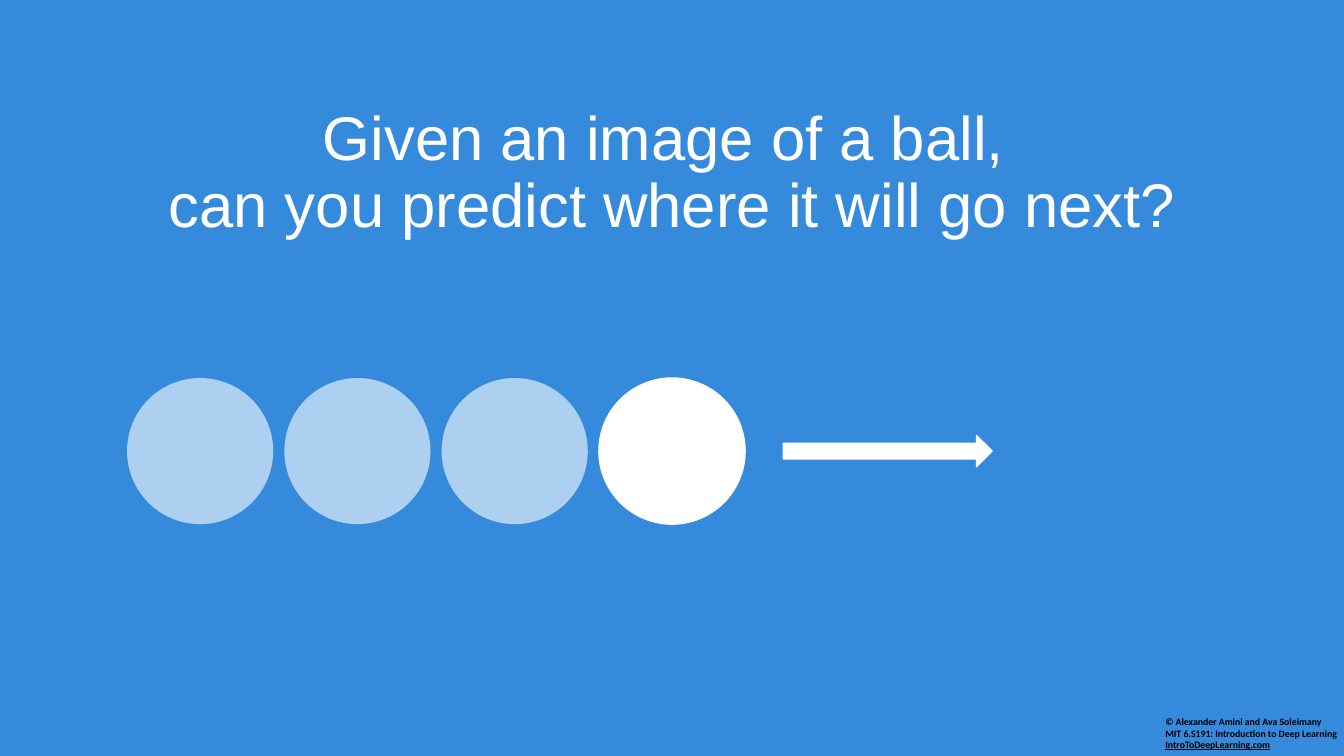
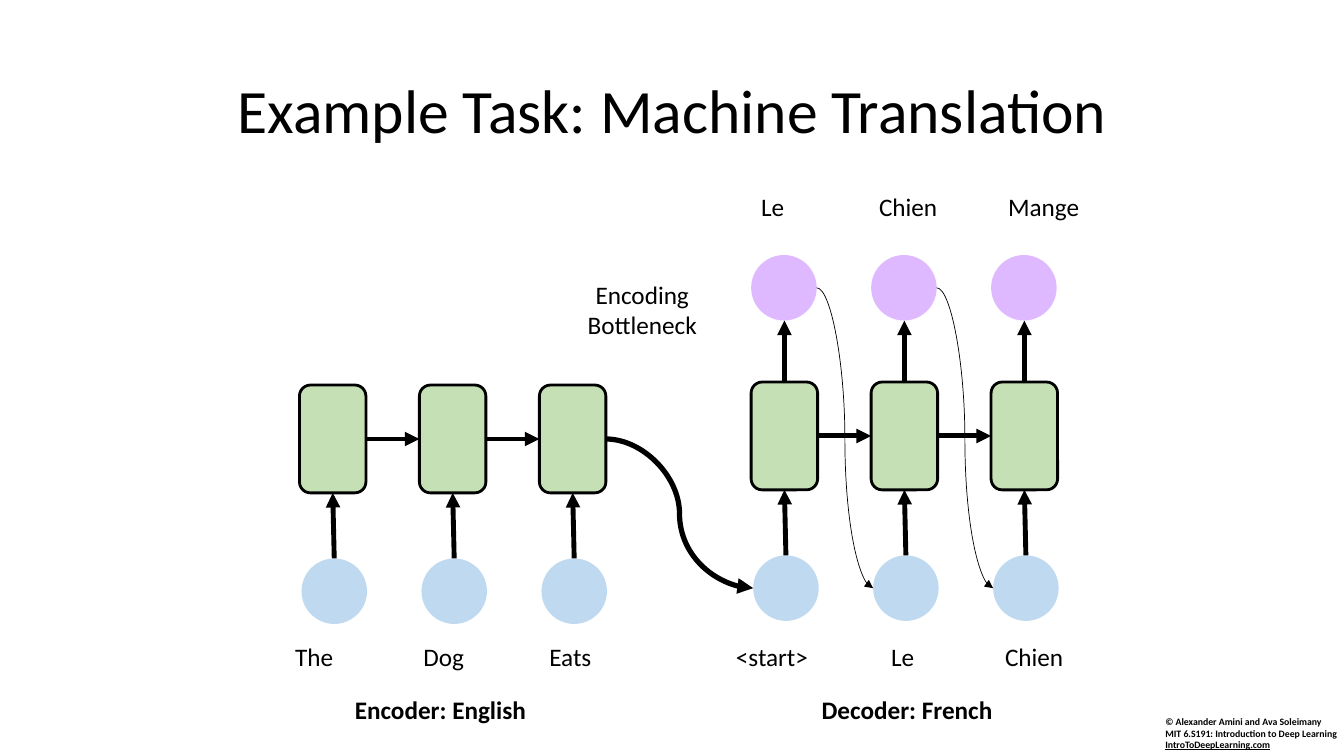
from dataclasses import dataclass
from typing import NamedTuple

from lxml import etree
from pptx import Presentation
from pptx.dml.color import RGBColor
from pptx.enum import shapes as es, text as et
from pptx.oxml import ns
from pptx.shapes.autoshape import Shape
from pptx.shapes.connector import Connector
from pptx.slide import Slide
from pptx.util import Inches, Pt


@dataclass(frozen=True)
class Theme:
    blue: str = "358ADB"
    white: str = "FFFFFF"
    black: str = "000000"
    green: str = "C5E0B4"
    violet: str = "DFB9FF"
    sky: str = "BFD9F0"
    font: str = "Calibri"
    sans: str = "Arial"
    title: float = 44
    body: float = 18
    small: float = 7


T = Theme()


class Box(NamedTuple):
    left: float
    top: float
    width: float
    height: float


class Label(NamedTuple):
    text: str
    left: float
    width: float


class Chain(NamedTuple):
    """One half of the network: its place, caption and words."""
    left: float
    top: float
    caption: Label
    inputs: list[Label]
    outputs: list[Label]


BALL, BALL_STEP = 1.45, 1.56
CELL_W, CELL_H, CELL_STEP = 0.66, 1.07, 1.19
DISC = 0.65
IN_DROP, OUT_RISE = 1.72, 1.26  # from the top of a cell to its discs
OUT_GAP = 0.61
WORD_TOP, OUT_TOP, CAP_TOP, ROW_H = 6.31, 1.85, 6.84, 0.4

CHAINS = [
    Chain(2.97, 3.82, Label("Encoder: English", 3.42, 2.52),
          [Label("The", 2.83, 0.6), Label("Dog", 4.1, 0.71),
           Label("Eats", 5.35, 0.79)], []),
    Chain(7.45, 3.79, Label("Decoder: French", 8.05, 2.05),
          [Label("<start>", 7.2, 1.18), Label("Le", 8.74, 0.6),
           Label("Chien", 9.87, 1.05)],
          [Label("Le", 7.45, 0.6), Label("Chien", 8.62, 0.86),
           Label("Mange", 9.9, 1)]),
]


def rgb(code: str) -> RGBColor:
    return RGBColor.from_string(code)


def write(slide: Slide, box: Box, words: str, size: float = T.body,
          color: str = T.black, font: str = T.font, bold: bool = False,
          center: bool = False, wrap: bool = True) -> Shape:
    """Add a text box with one paragraph; a vertical tab breaks the line."""
    area = slide.shapes.add_textbox(*map(Inches, box))
    area.text_frame.word_wrap = wrap
    para = area.text_frame.paragraphs[0]
    para.text = words
    para.alignment = et.PP_ALIGN.CENTER if center else et.PP_ALIGN.LEFT
    para.font.name, para.font.size = font, Pt(size)
    para.font.bold = bold
    para.font.color.rgb = rgb(color)
    return area


def head(slide: Slide, words: str, top: float, color: str, font: str) -> None:
    area = write(slide, Box(0.92, top, 11.5, 1.45), words, T.title, color,
                 font, center=True)
    area.text_frame.vertical_anchor = et.MSO_ANCHOR.MIDDLE
    area.text_frame.paragraphs[0].line_spacing = 0.9


def foot(slide: Slide) -> None:
    area = write(slide, Box(11.46, 7.05, 1.98, 0.45),
                 "© Alexander Amini and Ava Soleimany\v"
                 "MIT 6.S191: Introduction to Deep Learning\v",
                 T.small, bold=True, wrap=False)
    site = area.text_frame.paragraphs[0].add_run()
    site.text = "IntroToDeepLearning.com"
    site.font.underline = True


def start(deck: Presentation, color: str) -> Slide:
    """Add a blank slide with its background and footer."""
    slide = deck.slides.add_slide(deck.slide_layouts[6])
    slide.background.fill.solid()
    slide.background.fill.fore_color.rgb = rgb(color)
    foot(slide)
    return slide


def draw(slide: Slide, kind: es.MSO_SHAPE, box: Box, fill: str,
         line: str | None = None, width: float = 1,
         alpha: int | None = None) -> Shape:
    """Add a filled shape; alpha is its opacity in percent."""
    item = slide.shapes.add_shape(kind, *map(Inches, box))
    item.shadow.inherit = False
    item.fill.solid()
    item.fill.fore_color.rgb = rgb(fill)
    if alpha is not None:
        tint = item.fill._xPr.find(".//" + ns.qn("a:srgbClr"))
        etree.SubElement(tint, ns.qn("a:alpha"), val=str(alpha * 1000))
    if line is None:
        item.line.fill.background()
    else:
        item.line.color.rgb = rgb(line)
        item.line.width = Pt(width)
    return item


def disc(slide: Slide, left: float, top: float, fill: str) -> Shape:
    return draw(slide, es.MSO_SHAPE.OVAL, Box(left, top, DISC, DISC), fill)


def link(slide: Slide, ends: tuple[float, float, float, float],
         width: float = 3.5, curved: bool = False) -> Connector:
    """Add an arrow from the first point to the second."""
    kind = es.MSO_CONNECTOR.CURVE if curved else es.MSO_CONNECTOR.STRAIGHT
    wire = slide.shapes.add_connector(kind, *map(Inches, ends))
    wire.line.color.rgb = rgb(T.black)
    wire.line.width = Pt(width)
    etree.SubElement(wire.line._get_or_add_ln(), ns.qn("a:tailEnd"),
                     type="triangle")
    etree.SubElement(wire._element.spPr, ns.qn("a:effectLst"))
    return wire


def join(slide: Slide, first: Shape, out: int, last: Shape, into: int) -> None:
    wire = link(slide, (0, 0, 0, 0))
    wire.begin_connect(first, out)
    wire.end_connect(last, into)


def chain(slide: Slide, half: Chain) -> None:
    """Draw the cells, discs, arrows and words of one half."""
    cells: list[Shape] = []
    for i, word in enumerate(half.inputs):
        left = half.left + i * CELL_STEP
        cell = draw(slide, es.MSO_SHAPE.ROUNDED_RECTANGLE,
                    Box(left, half.top, CELL_W, CELL_H), T.green, T.black, 2)
        if cells:
            join(slide, cells[-1], 3, cell, 1)
        cells.append(cell)
        source = disc(slide, left + 0.02, half.top + IN_DROP, T.sky)
        join(slide, source, 0, cell, 2)
        write(slide, Box(word.left, WORD_TOP, word.width, ROW_H), word.text)
    for cell, word in zip(cells, half.outputs):
        left = cell.left.inches
        disc(slide, left, half.top - OUT_RISE, T.violet)
        mid = left + CELL_W / 2
        wire = link(slide, (mid, half.top, mid, half.top - OUT_GAP))
        wire.begin_connect(cell, 0)
        write(slide, Box(word.left, OUT_TOP, word.width, ROW_H), word.text)
    cap = half.caption
    write(slide, Box(cap.left, CAP_TOP, cap.width, ROW_H), cap.text, bold=True)


def ball(deck: Presentation) -> None:
    slide = start(deck, T.blue)
    head(slide, "Given an image of a ball, \vcan you predict where it will "
         "go next?", 1, T.white, T.sans)
    for i in range(4):
        now = i == 3
        draw(slide, es.MSO_SHAPE.OVAL,
             Box(1.26 + i * BALL_STEP, 3.75, BALL, BALL), T.white,
             line=T.white if now else None, alpha=None if now else 60)
    draw(slide, es.MSO_SHAPE.RIGHT_ARROW, Box(7.77, 4.32, 2.07, 0.31),
         T.white, T.white)


def task(deck: Presentation) -> None:
    slide = start(deck, T.white)
    head(slide, "Example Task: Machine Translation", 0.4, T.black, T.font)
    for half in CHAINS:
        chain(slide, half)
    write(slide, Box(5.61, 2.72, 1.52, 0.71), "Encoding Bottleneck",
          center=True)
    coder, maker = CHAINS
    low = maker.top + IN_DROP + DISC / 2
    high = maker.top - OUT_RISE + DISC / 2
    link(slide, (coder.left + 2 * CELL_STEP + CELL_W, coder.top + CELL_H / 2,
                 maker.left + 0.02, low), 3.75, curved=True)
    for i in range(2):
        left = maker.left + i * CELL_STEP
        link(slide, (left + DISC, high, left + CELL_STEP + 0.02, low), 0.5,
             curved=True)


def main() -> None:
    deck = Presentation()
    deck.slide_width, deck.slide_height = Inches(13.33), Inches(7.5)
    ball(deck)
    task(deck)
    deck.save("out.pptx")


if __name__ == "__main__":
    main()
